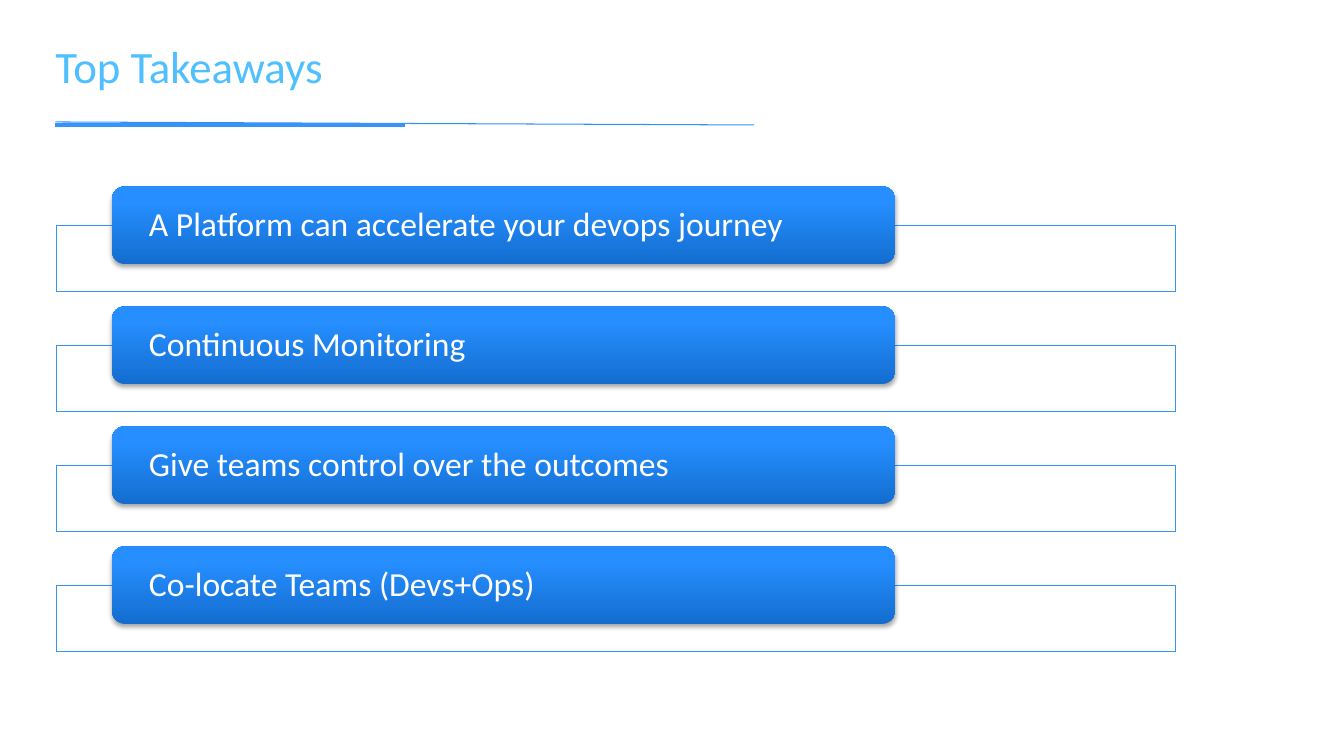
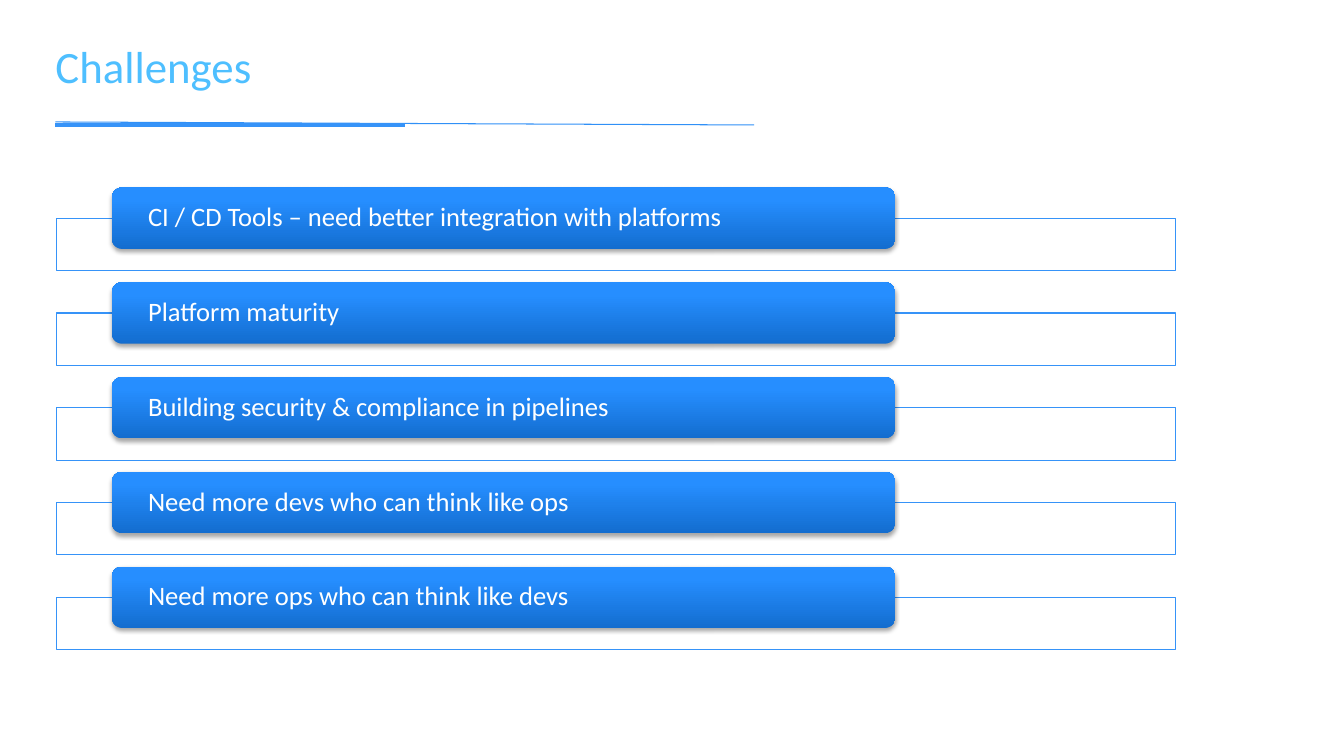
from lxml import etree
from pptx import Presentation
from pptx.dml.color import RGBColor
from pptx.enum import shapes, text
from pptx.oxml import ns
from pptx.util import Inches, Pt

WHITE = RGBColor(0xFF, 0xFF, 0xFF)
TITLE_BLUE = RGBColor(0x4E, 0xBF, 0xFF)
LINE_BLUE = RGBColor(0x36, 0x93, 0xF8)
THIN_BLUE = RGBColor(0x30, 0x90, 0xF7)
BLACK = RGBColor(0x00, 0x00, 0x00)
GRADIENT = [
    (0, RGBColor(0x13, 0x6D, 0xCF)),
    (80, RGBColor(0x26, 0x8E, 0xFF)),
    (100, RGBColor(0x27, 0x8F, 0xFF)),
]
FONT = "Calibri"

# Rule under the title: start x, start y, end x, end y, colour, width
RULES = [
    (0.55, 1.21, 7.48, 1.24, THIN_BLUE, 0.75),
    (0.55, 1.24, 4.02, 1.24, LINE_BLUE, 3),
]

# Title, first card top, pitch, card height, frame height, text size, items
PAGES = [
    ("Top Takeaways", 1.85, 1.19, 0.77, 0.66, 24, [
        "A Platform can accelerate your devops journey",
        "Continuous Monitoring",
        "Give teams control over the outcomes",
        "Co-locate Teams (Devs+Ops)",
    ]),
    ("Challenges", 1.86, 0.94, 0.61, 0.52, 19, [
        "CI / CD Tools – need better integration with platforms",
        "Platform maturity",
        "Building security & compliance in pipelines",
        "Need more devs who can think like ops",
        "Need more ops who can think like devs",
    ]),
]


def add_xml(parent, tag, **attributes):
    return etree.SubElement(parent, ns.qn(tag), attributes)


def write(frame, words, size, color, inset=0):
    """Fill a text frame with one left-aligned paragraph."""
    frame.word_wrap = True
    frame.margin_left = frame.margin_right = Inches(inset)
    frame.margin_top = frame.margin_bottom = 0
    para = frame.paragraphs[0]
    para.text = words
    para.alignment = text.PP_ALIGN.LEFT
    para.line_spacing = 0.9
    para.font.name = FONT
    para.font.size = Pt(size)
    para.font.color.rgb = color


deck = Presentation()
deck.slide_width = Inches(13.33)
deck.slide_height = Inches(7.5)

for title, top, pitch, card_height, frame_height, size, items in PAGES:
    page = deck.slides.add_slide(deck.slide_layouts[6])

    for index, item in enumerate(items):
        card_top = top + index * pitch

        # The outlined frame starts at the middle of its card
        frame = page.shapes.add_shape(
            shapes.MSO_SHAPE.RECTANGLE, Inches(0.56),
            Inches(card_top + card_height / 2), Inches(11.1), Inches(frame_height))
        frame.shadow.inherit = False
        frame.fill.solid()
        frame.fill.fore_color.rgb = WHITE
        fill_color = frame.element.spPr.find(ns.qn("a:solidFill"))[0]
        add_xml(fill_color, "a:alpha", val="90000")
        frame.line.color.rgb = LINE_BLUE
        frame.line.width = Pt(0.75)

        card = page.shapes.add_shape(
            shapes.MSO_SHAPE.ROUNDED_RECTANGLE, Inches(1.11),
            Inches(card_top), Inches(7.77), Inches(card_height))
        card.line.fill.background()
        card.fill.gradient()
        card.fill.gradient_angle = 90
        stops = card.element.spPr.find(".//" + ns.qn("a:gsLst"))
        stops.clear()
        for position, color in GRADIENT:
            stop = add_xml(stops, "a:gs", pos=str(position * 1000))
            add_xml(stop, "a:srgbClr", val=str(color))

        card.shadow.inherit = False
        effects = card.element.spPr.find(ns.qn("a:effectLst"))
        shadow = add_xml(effects, "a:outerShdw", blurRad=str(Pt(3.1)), dist=str(Pt(1.8)),
                         dir="5400000", rotWithShape="0")
        shadow_color = add_xml(shadow, "a:srgbClr", val=str(BLACK))
        add_xml(shadow_color, "a:alpha", val="35000")

        card.text_frame.vertical_anchor = text.MSO_ANCHOR.MIDDLE
        write(card.text_frame, item, size, WHITE, inset=0.33)

    title_box = page.shapes.add_textbox(
        Inches(0.55), Inches(0.44), Inches(12.18), Inches(1.12))
    write(title_box.text_frame, title, 32, TITLE_BLUE)

    for x1, y1, x2, y2, color, width in RULES:
        rule = page.shapes.add_connector(
            shapes.MSO_CONNECTOR.STRAIGHT,
            Inches(x1), Inches(y1), Inches(x2), Inches(y2))
        rule.line.color.rgb = color
        rule.line.width = Pt(width)
        add_xml(rule.element.spPr, "a:effectLst")

deck.save("out.pptx")
